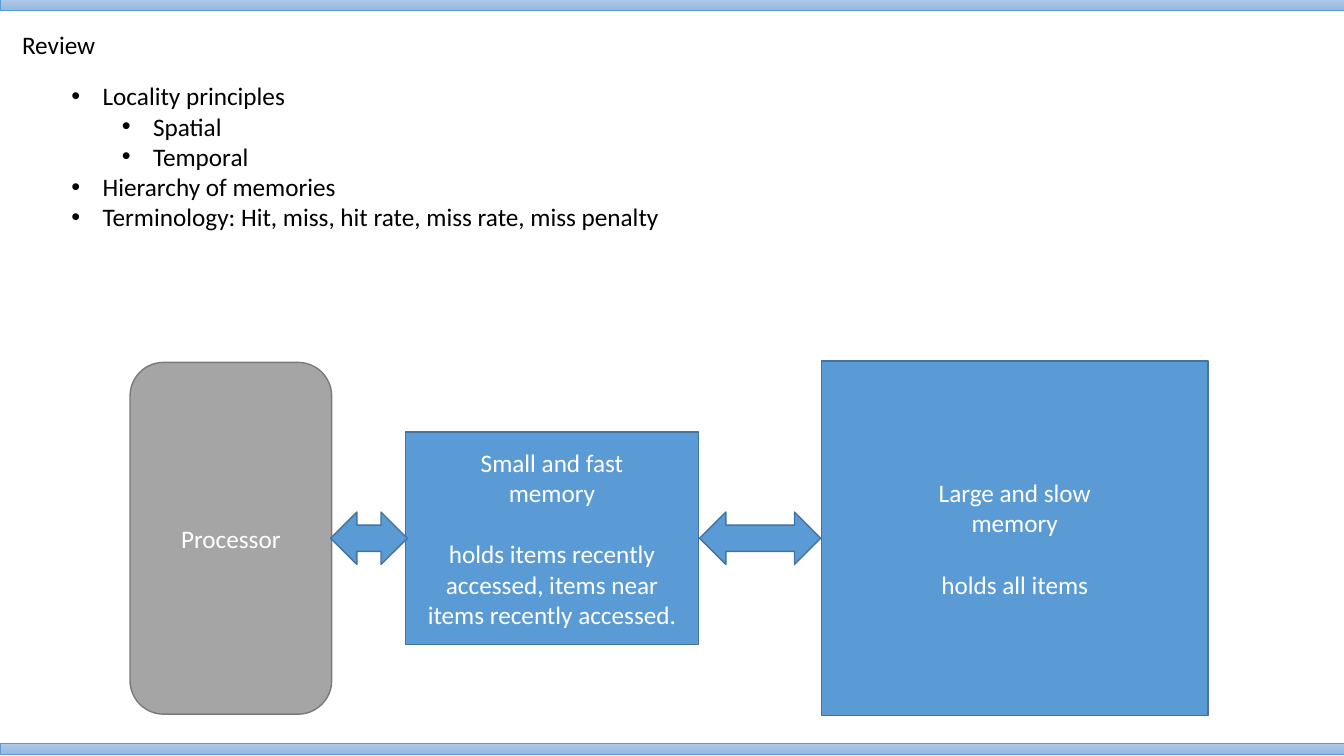
from copy import deepcopy

from lxml import etree
from pptx import Presentation
from pptx import util as u
from pptx.dml.color import RGBColor
from pptx.enum import shapes, text
from pptx.oxml.ns import qn

INK = {
    "black": "000000", "white": "FFFFFF",
    "blue": "5B9BD5", "navy": "43739E",
    "gray": "A5A5A5", "slate": "7A7A7A",
}
SHADE = [(0, "B1CBE9"), (0.5, "A3C1E5"), (1, "93B9E4")]
KIND = shapes.MSO_SHAPE
WIDE, TALL = 13.33, 7.5
LINE = 22  # height of one text line in points

TOPICS = [
    (0, "Locality principles"),
    (1, "Spatial"),
    (1, "Temporal"),
    (0, "Hierarchy of memories"),
    (0, "Terminology: Hit, miss, hit rate, miss rate, miss penalty"),
]


def rgb(name):
    return RGBColor.from_string(INK[name])


def inches(box):
    return [u.Inches(n) for n in box]


def style(para, ink):
    font = para.font
    font.name, font.size = "Calibri", u.Pt(18)
    font.color.rgb = rgb(ink)


def add_shape(slide, kind, box, fill, edge, width=1):
    shape = slide.shapes.add_shape(kind, *inches(box))
    shape.shadow.inherit = False
    if fill:
        shape.fill.solid()
        shape.fill.fore_color.rgb = rgb(fill)
    shape.line.color.rgb = rgb(edge)
    shape.line.width = u.Pt(width)
    return shape


def add_bar(slide, box):
    """Thin band with a vertical gradient."""
    bar = add_shape(slide, KIND.RECTANGLE, box, None, "blue", 0.5)
    bar.fill.gradient()
    bar.fill.gradient_angle = 270
    stops = bar.fill.gradient_stops
    nodes = bar._element.spPr.find(".//" + qn("a:gsLst"))
    nodes.insert(1, deepcopy(nodes[0]))
    for stop, (place, color) in zip(bar.fill.gradient_stops, SHADE):
        stop.position = place
        stop.color.rgb = RGBColor.from_string(color)


def add_text(slide, box, items, bullets=False):
    """Text box of (level, words) items."""
    frame = slide.shapes.add_textbox(*inches(box)).text_frame
    frame.word_wrap = True
    frame.auto_size = text.MSO_AUTO_SIZE.SHAPE_TO_FIT_TEXT
    frame.text = "\n".join(words for _, words in items)
    for para, (level, _) in zip(frame.paragraphs, items):
        style(para, "black")
        if bullets:
            para.level = level
            props = para._p.get_or_add_pPr()
            props.set("marL", str(u.Inches(0.31 + 0.5 * level)))
            props.set("indent", str(u.Inches(-0.31)))
            face = etree.SubElement(props, qn("a:buFont"))
            face.set("typeface", "Arial")
            etree.SubElement(props, qn("a:buChar")).set("char", "•")
            # Bullet marks come before the font defaults
            props.append(props.find(qn("a:defRPr")))


def add_block(slide, kind, box, fill, edge, title, note=None):
    """Block with a centred title and a note one line below it."""
    block = add_shape(slide, kind, box, fill, edge)
    frame = block.text_frame
    frame.word_wrap = True
    frame.vertical_anchor = text.MSO_ANCHOR.MIDDLE
    frame.text = f"{title}\n{note}" if note else title
    for para in frame.paragraphs:
        para.alignment = text.PP_ALIGN.CENTER
        style(para, "white")
    if note:
        frame.paragraphs[-1].space_before = u.Pt(LINE)


def add_scheme(slide, box):
    """Processor, fast memory and slow memory, joined by arrows."""
    left, top, width, height = box
    mid = top + height / 2
    right = left + width

    def centred(x, wide, tall):
        return x, mid - tall / 2, wide, tall

    blue = ("blue", "navy")
    add_block(slide, KIND.RECTANGLE, centred(left + 2.73, 2.91, 2.11), *blue,
              "Small and fast\nmemory",
              "holds items recently accessed, items near items recently accessed.")
    add_block(slide, KIND.RECTANGLE, centred(right - 3.83, 3.83, height), *blue,
              "Large and slow\nmemory", "holds all items")
    add_block(slide, KIND.ROUNDED_RECTANGLE, centred(left, 2, 3.49),
              "gray", "slate", "Processor")
    for x, wide in ((left + 1.99, 0.76), (left + 5.65, 1.2)):
        add_shape(slide, KIND.LEFT_RIGHT_ARROW, centred(x, wide, 0.52), *blue)


def main():
    deck = Presentation()
    deck.slide_width, deck.slide_height = inches((WIDE, TALL))
    slide = deck.slides.add_slide(deck.slide_layouts[6])

    # Top and bottom bands
    for top in (-0.01, 7.37):
        add_bar(slide, (0, top, WIDE, 0.11))

    # Heading and topics
    add_text(slide, (0.12, 0.24, 12.28, 0.42), [(0, "Review")])
    add_text(slide, (0.61, 0.75, 11.88, 1.62), TOPICS, bullets=True)

    # Memory diagram
    add_scheme(slide, (1.29, 3.58, 10.69, 3.52))

    deck.save("out.pptx")


if __name__ == "__main__":
    main()
